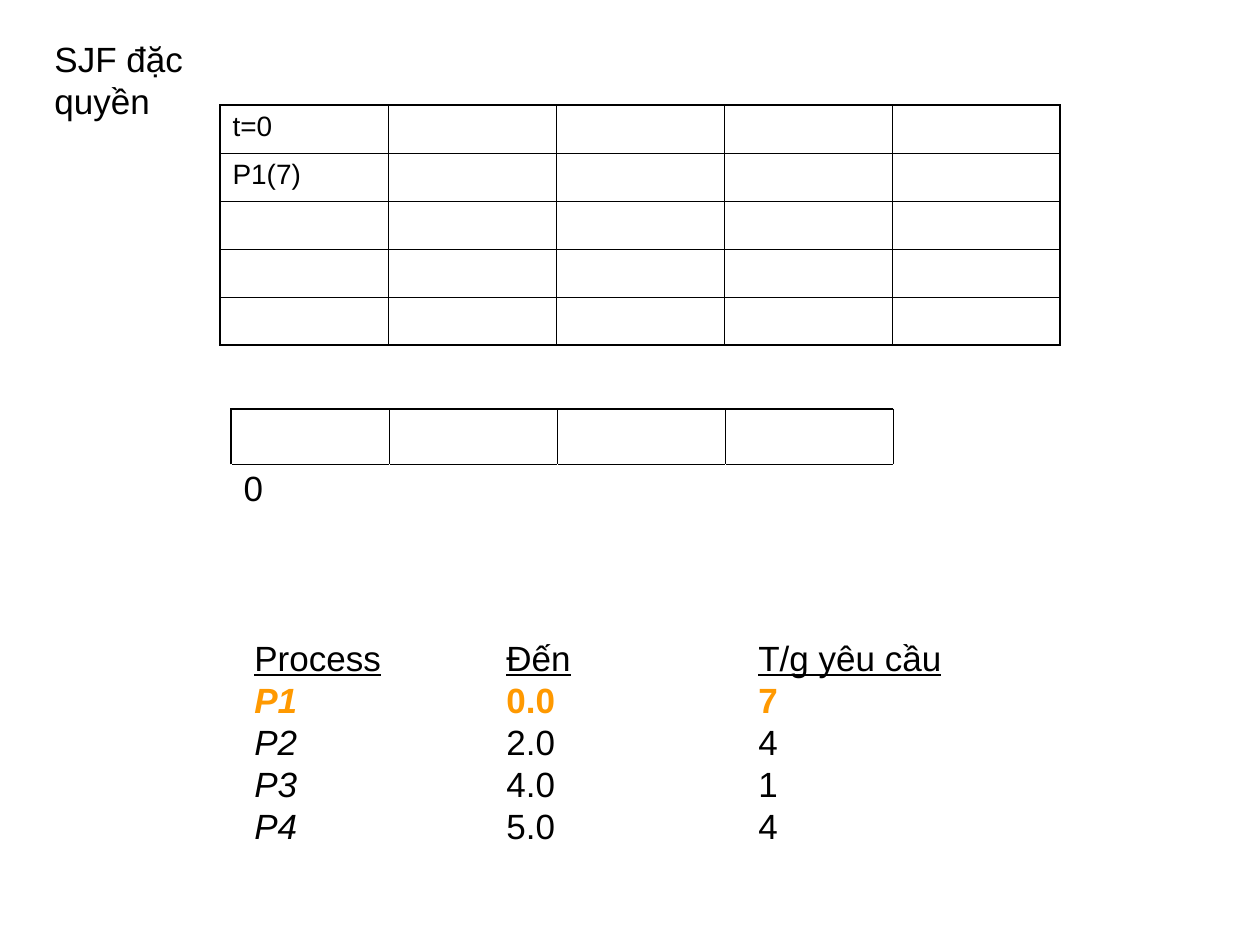
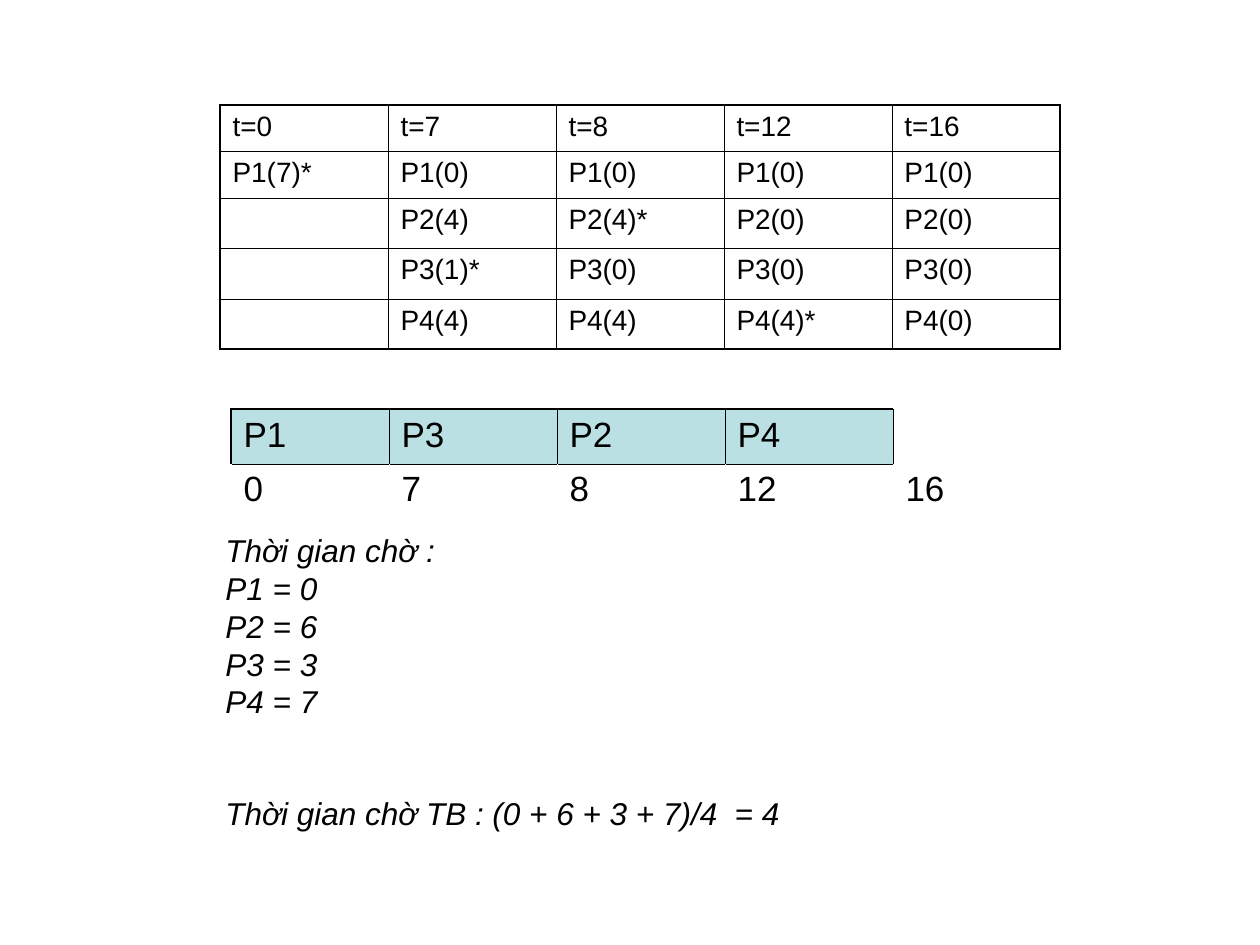
import dataclasses

import lxml.etree
import pptx
import pptx.dml.color
import pptx.enum.text
import pptx.oxml.ns
import pptx.util

EMU_PER_PX = 914400 / 126


def px(n):
    return pptx.util.Emu(round(n * EMU_PER_PX))


@dataclasses.dataclass(frozen=True)
class Theme:
    font: str = "Arial"
    ink: str = "000000"
    paper: str = "FFFFFF"
    accent: str = "FF9900"
    bar: str = "BBE0E3"
    large: int = 20
    medium: int = 18
    small: int = 16
    leading: float = 1.2
    thin: float = 0.45
    thick: float = 1.08


class Deck:
    def __init__(self, theme):
        self.theme = theme
        self.prs = pptx.Presentation()
        self.prs.slide_width, self.prs.slide_height = px(1260), px(945)
        self.s = None

    def slide(self):
        self.s = self.prs.slides.add_slide(self.prs.slide_layouts[6])

    def style(self, font, size, color=None, bold=False, italic=False):
        font.name, font.size = self.theme.font, pptx.util.Pt(size)
        font.bold, font.italic = bold, italic
        font.color.rgb = pptx.dml.color.RGBColor.from_string(color or self.theme.ink)

    def text(self, x, y, w, h, lines, size, italic=False, wrap=False):
        """Lines are strings, or lists of (text, font attributes) runs."""
        tf = self.s.shapes.add_textbox(px(x), px(y), px(w), px(h)).text_frame
        tf.word_wrap = wrap
        tf.auto_size = pptx.enum.text.MSO_AUTO_SIZE.SHAPE_TO_FIT_TEXT
        for i, line in enumerate(lines):
            p = tf.paragraphs[0] if i == 0 else tf.add_paragraph()
            p.line_spacing = pptx.util.Pt(size * self.theme.leading)
            if isinstance(line, str):
                p.add_run().text = line
                self.style(p.font, size, italic=italic)
                continue
            self.tabs(p)
            for words, look in line:
                r = p.add_run()
                r.text = words
                look = dict(look)
                r.font.underline = look.pop("underline", False)
                self.style(r.font, size, **look)

    def tabs(self, p):
        """One left tab stop per inch."""
        qn = pptx.oxml.ns.qn
        tab_list = lxml.etree.SubElement(p._p.get_or_add_pPr(), qn("a:tabLst"))
        for inch in range(1, 8):
            lxml.etree.SubElement(tab_list, qn("a:tab"),
                                  pos=str(inch * 914400), algn="l")

    def borders(self, cell, left, right, top, bottom):
        qn = pptx.oxml.ns.qn
        tc_pr = cell._tc.get_or_add_tcPr()
        for side, (color, width) in zip("LRTB", (left, right, top, bottom)):
            ln = lxml.etree.SubElement(tc_pr, qn(f"a:ln{side}"),
                                       w=str(pptx.util.Pt(width)))
            fill = lxml.etree.SubElement(ln, qn("a:solidFill"))
            lxml.etree.SubElement(fill, qn("a:srgbClr"), val=color)

    def table(self, x, y, widths, heights, texts, size, edges, fill_at=None):
        """edges(row, col) gives left, right, top, bottom; fill_at a colour or None."""
        table = self.s.shapes.add_table(len(heights), len(widths), px(x), px(y),
                                        px(sum(widths)), px(sum(heights))).table
        table.first_row = table.horz_banding = False
        for column, w in zip(table.columns, widths):
            column.width = px(w)
        for row, h in zip(table.rows, heights):
            row.height = px(h)
        for i, row in enumerate(texts):
            for j, words in enumerate(row):
                cell = table.cell(i, j)
                self.borders(cell, *edges(i, j))
                color = fill_at(i, j) if fill_at else None
                if color:
                    cell.fill.solid()
                    cell.fill.fore_color.rgb = pptx.dml.color.RGBColor.from_string(color)
                else:
                    cell.fill.background()
                p = cell.text_frame.paragraphs[0]
                if words:
                    p.add_run().text = words
                else:  # keeps an empty row from growing
                    p._p.get_or_add_endParaRPr().set("sz", str(size * 100))
                self.style(p.font, size)

    def state_table(self, heights, texts):
        """Remaining time of each process at each moment."""
        t = self.theme
        last = len(texts) - 1

        def edges(i, j):
            outer = (j == 0, j == last, i == 0, i == last)
            return [(t.ink, t.thick if out else t.thin) for out in outer]

        self.table(220, 105, [168] * 5, heights, texts, t.small, edges)

    def gantt(self, bars, times, filled):
        """Four bars above their start times; the last column holds the end time."""
        t = self.theme
        black, heavy, white = (t.ink, t.thin), (t.ink, t.thick), (t.paper, t.thin)
        last = len(times) - 1

        def edges(i, j):
            if i == 0 and j < last:
                return heavy if j == 0 else black, black, heavy, black
            left = black if i == 0 else white
            return left, white, black if j < last else white, white

        def fill_at(i, j):
            return t.bar if filled and i == 0 and j < last else None

        self.table(231, 409, [158, 168, 168, 168, 179], [55, 55],
                   [bars + [""], times], t.large, edges, fill_at)


def process_lines(theme, processes):
    under = {"underline": True}
    lines = [[("Process", under), ("\t", {}), ("Đến", under), ("\t\t", {}),
              ("T/g yêu cầu", under)]]
    for i, (name, arrival, burst) in enumerate(processes):
        look = {"color": theme.accent, "bold": True} if i == 0 else {}
        lines.append([(f"{name}\t\t", {**look, "italic": True}),
                      (f"{arrival}\t\t{burst}", look)])
    return lines


def main():
    theme = Theme()
    deck = Deck(theme)

    # Slide 1: start of the schedule
    deck.slide()
    deck.state_table([48] * 5, [["t=0"] + [""] * 4, ["P1(7)"] + [""] * 4]
                     + [[""] * 5] * 3)
    deck.gantt([""] * 4, ["0"] + [""] * 4, filled=False)
    processes = [("P1", "0.0", 7), ("P2", "2.0", 4), ("P3", "4.0", 1), ("P4", "5.0", 4)]
    deck.text(242, 630, 819, 223, process_lines(theme, processes), theme.large, wrap=True)
    deck.text(42, 31, 258, 55, ["SJF đặc quyền"], theme.large)

    # Slide 2: finished schedule and waiting times
    deck.slide()
    deck.state_table([46, 47, 50, 51, 50], [
        ["t=0", "t=7", "t=8", "t=12", "t=16"],
        ["P1(7)*", "P1(0)", "P1(0)", "P1(0)", "P1(0)"],
        ["", "P2(4)", "P2(4)*", "P2(0)", "P2(0)"],
        ["", "P3(1)*", "P3(0)", "P3(0)", "P3(0)"],
        ["", "P4(4)", "P4(4)", "P4(4)*", "P4(0)"],
    ])
    deck.gantt(["P1", "P3", "P2", "P4"], ["0", "7", "8", "12", "16"], filled=True)
    deck.text(213, 525, 243, 202,
              ["Thời gian chờ :", "P1 = 0", "P2 = 6", "P3 = 3", "P4 = 7"],
              theme.medium, italic=True)
    deck.text(213, 788, 580, 50, ["Thời gian chờ TB : (0 + 6 + 3 + 7)/4  = 4"],
              theme.medium, italic=True)

    deck.prs.save("out.pptx")


if __name__ == "__main__":
    main()
